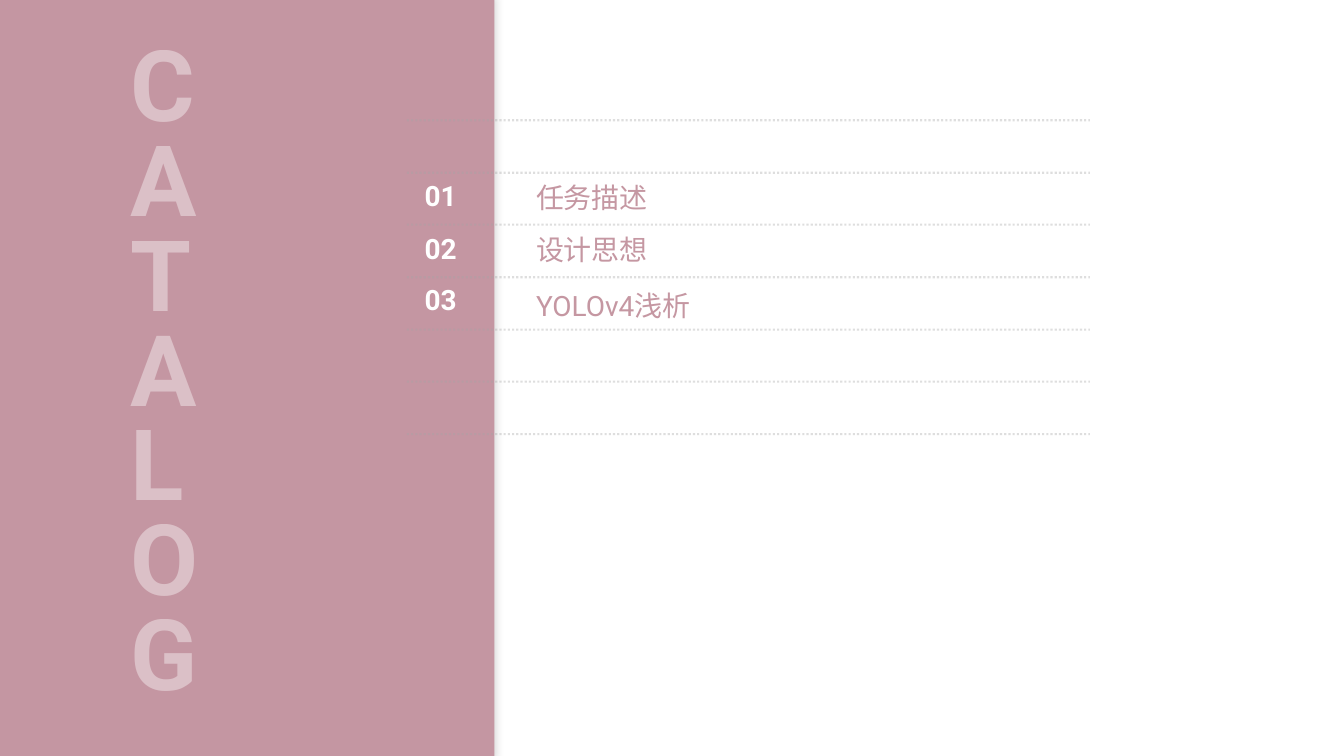
import pptx
import pptx.dml.color
import pptx.enum.dml
import pptx.enum.shapes
import pptx.enum.text
import pptx.oxml
import pptx.oxml.ns
import pptx.util

PX = 9525
FONT = "Roboto"
COLOURS = {"panel": "C496A2", "item": "C597A2", "rule": "A6A6A6", "white": "FFFFFF", "shadow": "000000"}
ITEMS = ["任务描述", "设计思想", "YOLOv4浅析"]
ALIGN = pptx.enum.text.PP_ALIGN
ANCHOR = pptx.enum.text.MSO_ANCHOR
FIT = pptx.enum.text.MSO_AUTO_SIZE


def px(*lengths):
    """Turn px lengths into EMU."""
    return [length * PX for length in lengths]


def rgb(name):
    """Look up a named colour."""
    return pptx.dml.color.RGBColor.from_string(COLOURS[name])


def element(xml):
    """Parse one DrawingML element."""
    return pptx.oxml.parse_xml(xml.replace(">", f" {pptx.oxml.ns.nsdecls('a')}>", 1))


def set_alpha(properties, percent):
    """Make the solid colour inside the properties translucent."""
    colour = properties.find(".//" + pptx.oxml.ns.qn("a:srgbClr"))
    colour.append(element(f'<a:alpha val="{percent * 1000}"></a:alpha>'))


def place(box, left, top, width, height):
    """Move and size a box."""
    box.left, box.top, box.width, box.height = px(left, top, width, height)


def write(box, lines, size=40, colour="white", bold=False, align=ALIGN.LEFT, anchor=ANCHOR.MIDDLE,
          inset=0, wrap=True, fit=FIT.SHAPE_TO_FIT_TEXT, spacing=None, alpha=None, tracking=None):
    """Fill a box with formatted paragraphs."""
    frame = box.text_frame
    frame.text = "\n".join(lines)
    frame.word_wrap, frame.auto_size, frame.vertical_anchor = wrap, fit, anchor
    frame.margin_left, frame.margin_top, frame.margin_right, frame.margin_bottom = px(*[inset] * 4)
    for para in frame.paragraphs:
        para.alignment, para.line_spacing = align, spacing
        para.space_before = para.space_after = pptx.util.Pt(0)
        for span in para.runs:
            font = span.font
            font.name, font.size, font.bold = FONT, pptx.util.Pt(size), bold
            font.color.rgb = rgb(colour)
            properties = span._r.get_or_add_rPr()
            if alpha:
                set_alpha(properties, alpha)
            if tracking:
                properties.set("spc", str(tracking * 100))


def add_panel(page):
    """Draw the coloured side panel with its soft shadow."""
    panel = page.shapes.add_shape(pptx.enum.shapes.MSO_SHAPE.RECTANGLE, *px(-119, -9, 1061, 1457))
    panel.fill.solid()
    panel.fill.fore_color.rgb = rgb("panel")
    panel.line.fill.background()
    panel._element.spPr.append(element(
        '<a:effectLst><a:outerShdw blurRad="177800" dist="25400" dir="1140000" rotWithShape="0">'
        f'<a:srgbClr val="{COLOURS["shadow"]}"><a:alpha val="18000"/></a:srgbClr>'
        '</a:outerShdw></a:effectLst>'))


def add_number(page, index):
    """Write one item number inside the panel."""
    box = page.shapes.add_textbox(*px(598, 330 + round(99.5 * index), 282, 84))
    write(box, [f"{index + 1:02}"], bold=True, align=ALIGN.RIGHT, inset=10)


def add_rules(page, count):
    """Draw the group of evenly spaced dotted rules."""
    group = page.shapes.add_group_shape()
    for index in range(count):
        y = 229 + round(99.7 * index)
        rule = group.shapes.add_connector(pptx.enum.shapes.MSO_CONNECTOR.STRAIGHT, *px(775, y, 2076, y))
        rule.line.width = pptx.util.Pt(3)
        rule.line.color.rgb = rgb("rule")
        rule.line.dash_style = pptx.enum.dml.MSO_LINE.ROUND_DOT
        properties = rule._element.spPr
        set_alpha(properties, 36)
        properties.append(element("<a:effectLst></a:effectLst>"))


def format_list(box):
    """Set the agenda items without bullets, one to each row."""
    place(box, 1021, 308, 1452, 306)
    write(box, ITEMS, colour="item", anchor=ANCHOR.TOP, fit=FIT.NONE, spacing=pptx.util.Pt(74.5))
    for para in box.text_frame.paragraphs:
        properties = para._p.get_or_add_pPr()
        properties.set("marL", "0")
        properties.set("indent", "0")
        properties.append(element("<a:buNone></a:buNone>"))
    box.text_frame.paragraphs[-1].space_before = pptx.util.Pt(6)


def format_title(box):
    """Set the title as one translucent letter to a line."""
    place(box, 240, 72, 139, 1295)
    write(box, "CATALOG", size=141, bold=True, inset=8, wrap=False, spacing=0.8, alpha=40, tracking=-3)


def main():
    """Build the catalog slide."""
    deck = pptx.Presentation()
    deck.slide_width, deck.slide_height = px(2560, 1440)
    page = deck.slides.add_slide(deck.slide_layouts[1])
    title, body = page.placeholders
    add_panel(page)
    for index in range(len(ITEMS)):
        add_number(page, index)
    add_rules(page, 7)
    format_list(body)
    format_title(title)
    for box in (body, title):
        page.shapes._spTree.append(box._element)
    deck.save("out.pptx")


if __name__ == "__main__":
    main()
